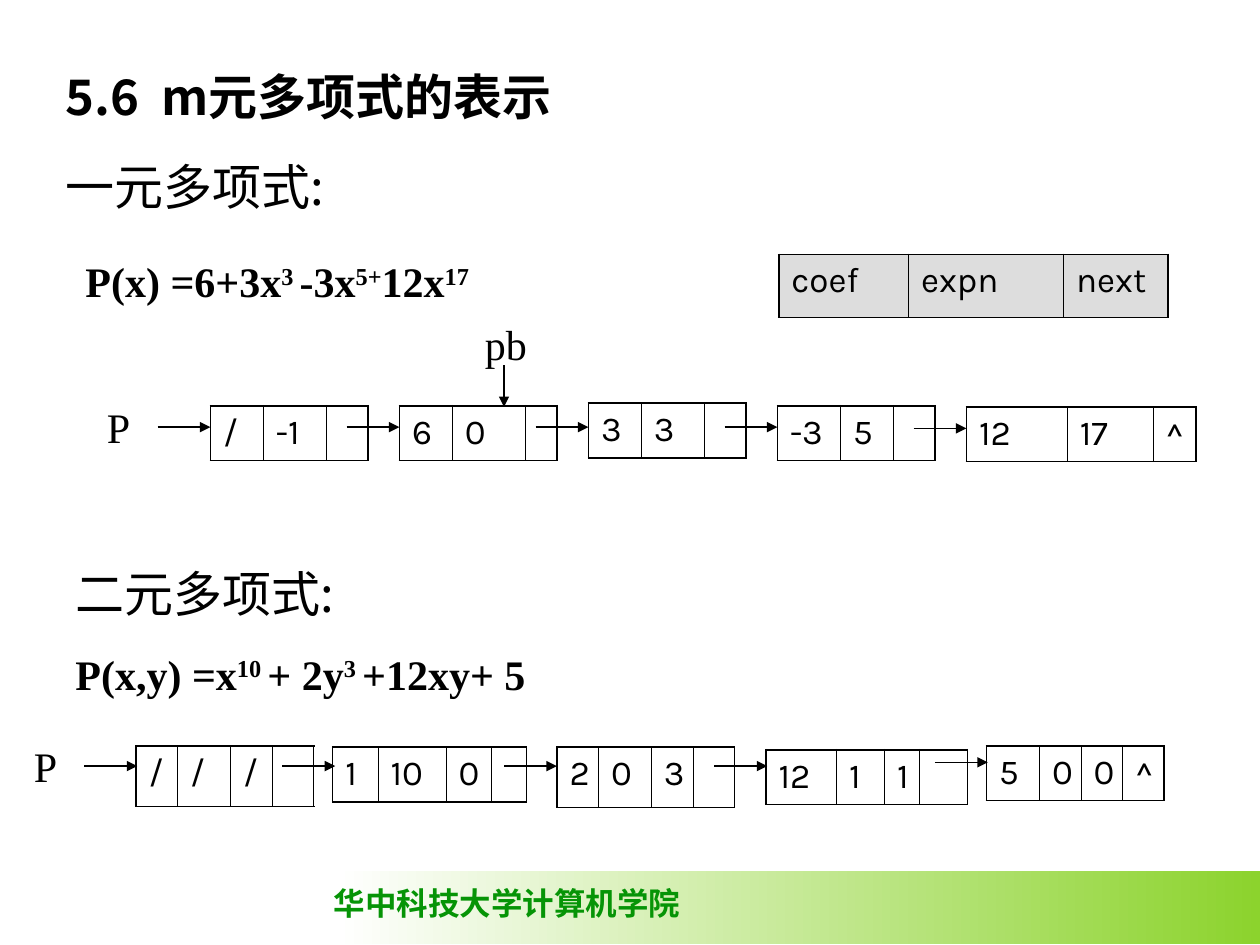
from dataclasses import dataclass

from lxml import etree
from pptx import Presentation
from pptx.dml.color import RGBColor
from pptx.enum.shapes import MSO_CONNECTOR, MSO_SHAPE
from pptx.enum.text import MSO_ANCHOR, MSO_AUTO_SIZE, PP_ALIGN
from pptx.oxml.ns import qn
from pptx.util import Inches, Pt

STRAIGHT = MSO_CONNECTOR.STRAIGHT
RECT = MSO_SHAPE.RECTANGLE
TOP = MSO_ANCHOR.TOP
NO_FIT = MSO_AUTO_SIZE.NONE
LEFT = PP_ALIGN.LEFT


@dataclass(frozen=True)
class Theme:
    """Colours, fonts and sizes of the slide."""
    ink: str = "000000"
    white: str = "FFFFFF"
    lime: str = "8CD32D"
    school: str = "069406"
    header: str = "DDDDDD"
    serif: str = "Times New Roman"
    cjk: str = "Noto Sans CJK SC"
    cell: str = "Karla"
    heading_size: float = 28
    formula_size: float = 24
    cell_size: float = 20
    footer_size: float = 18
    outer: float = 1.08
    inner: float = 0.45
    arrow: float = 0.75


T = Theme()
ARROW_LENGTH = 0.42
UPPER_NODES = [
    (1.67, 3.22, 0.43, (0.42, 0.5, 0.33), ("/", "-1", "")),
    (3.17, 3.22, 0.43, (0.42, 0.58, 0.25), ("6", "0", "")),
    (4.67, 3.2, 0.43, (0.42, 0.5, 0.33), ("3", "3", "")),
    (6.17, 3.22, 0.43, (0.5, 0.42, 0.33), ("-3", "5", "")),
    (7.67, 3.23, 0.43, (0.8, 0.68, 0.34), ("12", "17", "^")),
]
LOWER_NODES = [
    (1.08, 5.92, 0.48, (0.33, 0.42, 0.33, 0.33), ("/", "/", "/", "")),
    (2.64, 5.93, 0.43, (0.36, 0.54, 0.36, 0.28), ("1", "10", "0", "")),
    (4.42, 5.93, 0.48, (0.33, 0.42, 0.33, 0.33), ("2", "0", "3", "")),
    (6.08, 5.95, 0.43, (0.56, 0.38, 0.28, 0.38), ("12", "1", "1", "")),
    (7.83, 5.92, 0.43, (0.42, 0.33, 0.33, 0.33), ("5", "0", "0", "^")),
]
UPPER_ARROWS = [(1.25 + 1.5 * i, 3.39) for i in range(4)] + [(7.25, 3.4)]
LOWER_ARROWS = [(0.67, 6.08), (2.24, 6.08), (4, 6.08), (5.67, 6.08), (7.42, 6.05)]


def write(p, *parts, size=T.formula_size, font=T.serif, bold=False, color=T.ink, before=0):
    """Write the parts into a paragraph, every second one as a superscript."""
    p.alignment = LEFT
    p.space_before = Pt(before)
    for i, part in enumerate(parts):
        r = p.add_run()
        r.text = part
        r.font.size = Pt(size)
        r.font.name = font
        r.font.bold = bold
        r.font.color.rgb = RGBColor.from_string(color)
        rPr = r._r.get_or_add_rPr()
        etree.SubElement(rPr, qn("a:ea"), typeface=T.cjk)
        if i % 2:
            rPr.set("baseline", "30000")


def add_box(s, left, top, width, height, wrap=True):
    """Add a text box and return its text frame."""
    tf = s.shapes.add_textbox(Inches(left), Inches(top), Inches(width), Inches(height)).text_frame
    tf.word_wrap = wrap
    return tf


def add_title(s):
    """Fill the title placeholder with the section and its first heading."""
    title = s.shapes.title
    title.left, title.top, title.width, title.height = map(Inches, (0.42, 0.48, 8.5, 1.28))
    tf = title.text_frame
    tf.vertical_anchor = TOP
    tf.auto_size = NO_FIT
    tf.word_wrap = True
    write(tf.paragraphs[0], "5.6  m元多项式的表示", size=T.heading_size, font=T.cjk, bold=True)
    write(tf.add_paragraph(), "一元多项式:", size=T.heading_size, font=T.cjk, before=17.5)


def add_footer(s):
    """Add the gradient band and the name of the school."""
    band = s.shapes.add_shape(RECT, Inches(2.67), Inches(6.91), Inches(7.33), Inches(0.58))
    band.shadow.inherit = False
    band.line.fill.background()
    band.fill.gradient()
    band.fill.gradient_angle = 0
    for stop, color in zip(band.fill.gradient_stops, (T.white, T.lime)):
        stop.color.rgb = RGBColor.from_string(color)
    tf = add_box(s, 2.55, 6.97, 2.95, 0.4, wrap=False)
    write(tf.paragraphs[0], "华中科技大学计算机学院", size=T.footer_size, bold=True, color=T.school)


def set_border(cell, side, width):
    """Draw one solid border of a cell."""
    tcPr = cell._tc.get_or_add_tcPr()
    ln = etree.SubElement(tcPr, qn(f"a:ln{side}"), w=str(Pt(width)))
    fill = etree.SubElement(ln, qn("a:solidFill"))
    etree.SubElement(fill, qn("a:srgbClr"), val=T.ink)


def add_node(s, left, top, height, widths, texts, fill=None):
    """Add a list node as a table of one row."""
    frame = s.shapes.add_table(1, len(widths), Inches(left), Inches(top),
                               Inches(sum(widths)), Inches(height))
    table = frame.table
    table.first_row = table.horz_banding = False
    table.rows[0].height = Inches(height)
    last = len(widths) - 1
    for i, (width, text) in enumerate(zip(widths, texts)):
        table.columns[i].width = Inches(width)
        cell = table.cell(0, i)
        set_border(cell, "L", T.inner if i else T.outer)
        set_border(cell, "R", T.inner if i < last else T.outer)
        set_border(cell, "T", T.outer)
        set_border(cell, "B", T.outer)
        if fill:
            cell.fill.solid()
            cell.fill.fore_color.rgb = RGBColor.from_string(fill)
        else:
            cell.fill.background()
        if text:
            write(cell.text_frame.paragraphs[0], text, size=T.cell_size, font=T.cell)


def add_arrow(s, x, y, dx=ARROW_LENGTH, dy=0):
    """Add an arrow from a point over the given distance."""
    c = s.shapes.add_connector(STRAIGHT, Inches(x), Inches(y), Inches(x + dx), Inches(y + dy))
    c.line.width = Pt(T.arrow)
    c.line.color.rgb = RGBColor.from_string(T.ink)
    etree.SubElement(c.line._get_or_add_ln(), qn("a:tailEnd"), type="triangle")
    etree.SubElement(c._element.spPr, qn("a:effectLst"))


def main():
    """Build the slide and save it."""
    prs = Presentation()
    prs.slide_width, prs.slide_height = Inches(10), Inches(7.5)
    s = prs.slides.add_slide(prs.slide_layouts[5])
    add_footer(s)
    add_title(s)

    tf = add_box(s, 0.58, 1.98, 4.17, 0.56)
    write(tf.paragraphs[0], "P(x) =6+3x", "3 ", "-3x", "5+", "12x", "17", bold=True)
    tf = add_box(s, 0.5, 4.42, 8.92, 1.23)
    write(tf.paragraphs[0], "二元多项式:", size=T.heading_size, font=T.cjk)
    write(tf.add_paragraph(), "P(x,y) =x", "10 ", "+ 2y", "3 ", "+12xy+ 5", bold=True, before=15)

    for label, left, top in (("P", 0.75, 3.14), ("pb", 3.75, 2.48), ("P", 0.17, 5.83)):
        write(add_box(s, left, top, 0.67, 0.5).paragraphs[0], label)

    add_node(s, 6.18, 2.02, 0.5, (1.03, 1.23, 0.83), ("coef", "expn", "next"), fill=T.header)
    for node in UPPER_NODES + LOWER_NODES:
        add_node(s, *node)
    for x, y in UPPER_ARROWS + LOWER_ARROWS:
        add_arrow(s, x, y)
    add_arrow(s, 4, 2.9, dx=0, dy=0.33)
    prs.save("out.pptx")


if __name__ == "__main__":
    main()
